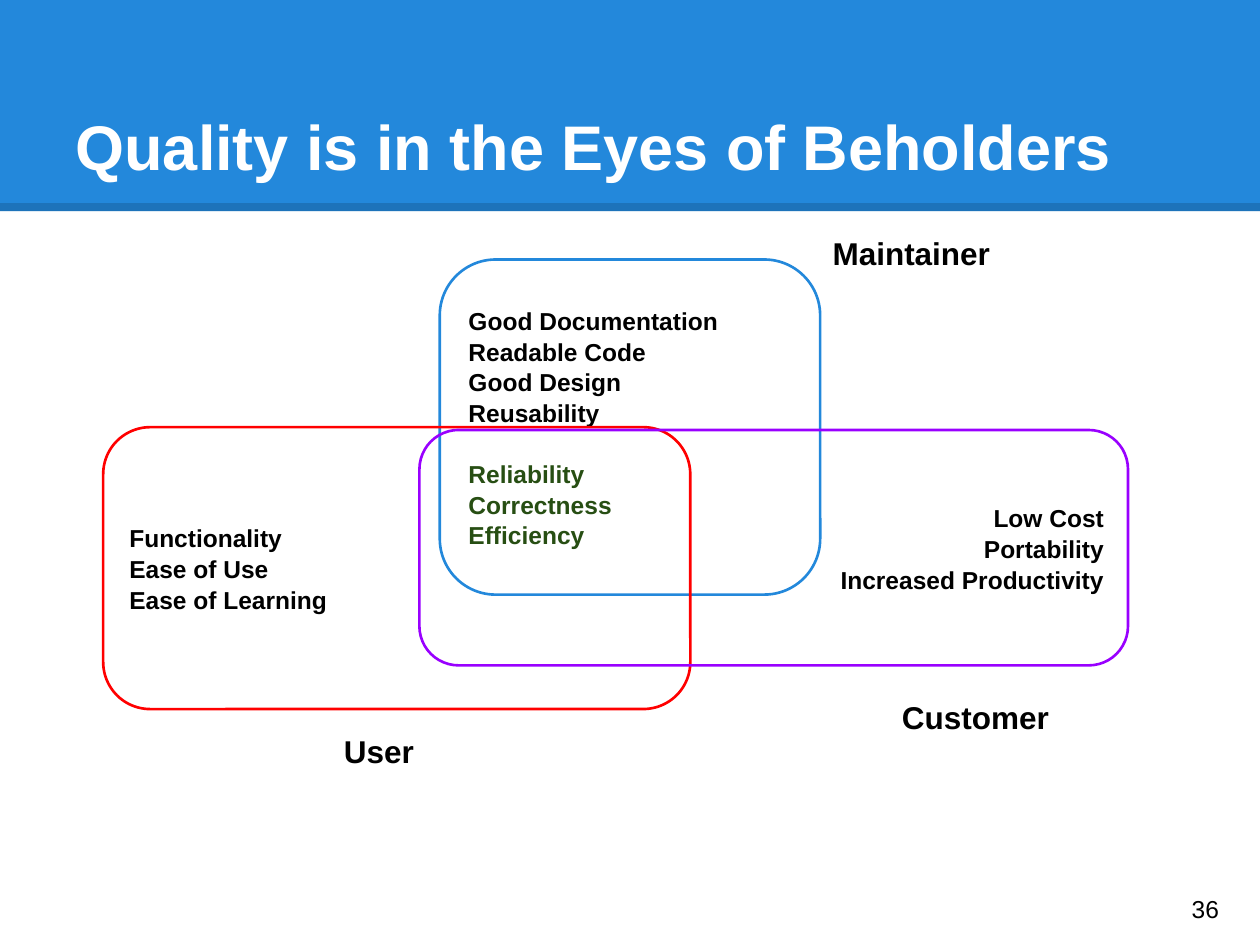
from lxml.etree import SubElement
from pptx import Presentation
from pptx.dml.color import RGBColor
from pptx.enum.shapes import MSO_CONNECTOR, MSO_SHAPE
from pptx.enum.text import MSO_ANCHOR, PP_ALIGN
from pptx.oxml.ns import qn
from pptx.util import Pt

BLUE = RGBColor(0x23, 0x88, 0xDB)
RED = RGBColor(0xFF, 0x00, 0x00)
PURPLE = RGBColor(0x99, 0x00, 0xFF)
GREEN = RGBColor(0x27, 0x4E, 0x13)
BLACK = RGBColor(0, 0, 0)
WHITE = RGBColor(0xFF, 0xFF, 0xFF)


def fill_frame(frame, lines, size, color=BLACK, bold=True,
               anchor=MSO_ANCHOR.TOP, align=PP_ALIGN.LEFT):
    frame.word_wrap = True
    frame.vertical_anchor = anchor
    frame.margin_left = frame.margin_right = Pt(7.2)
    frame.margin_top = frame.margin_bottom = Pt(7.2)
    frame.text = "\n".join(lines)
    for paragraph in frame.paragraphs:
        paragraph.alignment = align
        paragraph.font.name = "Arial"
        paragraph.font.size = Pt(size)
        paragraph.font.bold = bold
        paragraph.font.color.rgb = color


prs = Presentation()
prs.slide_width, prs.slide_height = Pt(720), Pt(540)
slide = prs.slides.add_slide(prs.slide_layouts[5])
shapes = slide.shapes

# Header band, moved behind the title
band = shapes.add_shape(MSO_SHAPE.RECTANGLE, 0, 0, Pt(720), Pt(120.7))
band.shadow.inherit = False
band.fill.solid()
band.fill.fore_color.rgb = BLUE
band.line.fill.background()

# Translucent rule along the foot of the band
rule = shapes.add_connector(MSO_CONNECTOR.STRAIGHT, 0, Pt(118.4), Pt(720), Pt(118.4))
rule.line.width = Pt(4.5)
rule.line.color.rgb = BLACK
rule_color = rule.line.fill._xPr.find(".//" + qn("a:srgbClr"))
SubElement(rule_color, qn("a:alpha"), val="15000")
SubElement(rule._element.spPr, qn("a:effectLst"))

# Title
title = shapes.title
shapes._spTree.remove(title._element)
shapes._spTree.append(title._element)
title.left, title.top, title.width, title.height = Pt(36), Pt(21.6), Pt(672.5), Pt(90)
fill_frame(title.text_frame, ["Quality is in the Eyes of Beholders"], 36, WHITE,
           anchor=MSO_ANCHOR.BOTTOM)

# Overlapping concerns of each beholder
concerns = [
    ((251.3, 148.3, 217.4, 191.5), BLUE, PP_ALIGN.LEFT,
     ["Good Documentation", "Readable Code", "Good Design", "Reusability",
      "Reliability", "Correctness", "Efficiency"]),
    ((59, 244.1, 335.5, 161.1), RED, PP_ALIGN.LEFT,
     ["Functionality", "Ease of Use", "Ease of Learning"]),
    ((239.7, 245.7, 404.9, 134.5), PURPLE, PP_ALIGN.RIGHT,
     ["Low Cost", "Portability", "Increased Productivity"]),
]
SHARED = ["Reliability", "Correctness", "Efficiency"]
for place, color, align, qualities in concerns:
    region = shapes.add_shape(MSO_SHAPE.ROUNDED_RECTANGLE, *map(Pt, place))
    region.shadow.inherit = False
    region.fill.background()
    region.line.color.rgb = color
    region.line.width = Pt(1.5)
    fill_frame(region.text_frame, qualities, 14, anchor=MSO_ANCHOR.MIDDLE, align=align)
    for paragraph in region.text_frame.paragraphs:
        paragraph.line_spacing = 1.05
        if paragraph.text in SHARED:
            paragraph.font.color.rgb = GREEN
        if paragraph.text == SHARED[0]:
            paragraph.space_before = Pt(16.9)

# Beholder names
for beholder, left, top in [("User", 189.4, 411.1), ("Customer", 508.3, 391.7),
                            ("Maintainer", 468.7, 126.7)]:
    label = shapes.add_textbox(Pt(left), Pt(top), Pt(152.6), Pt(40.3))
    fill_frame(label.text_frame, [beholder], 18)

# Slide number
number = shapes.add_textbox(Pt(673.9), Pt(499), Pt(43.2), Pt(41))
fill_frame(number.text_frame, ["36"], 14, bold=False, anchor=MSO_ANCHOR.MIDDLE)

prs.save("out.pptx")
